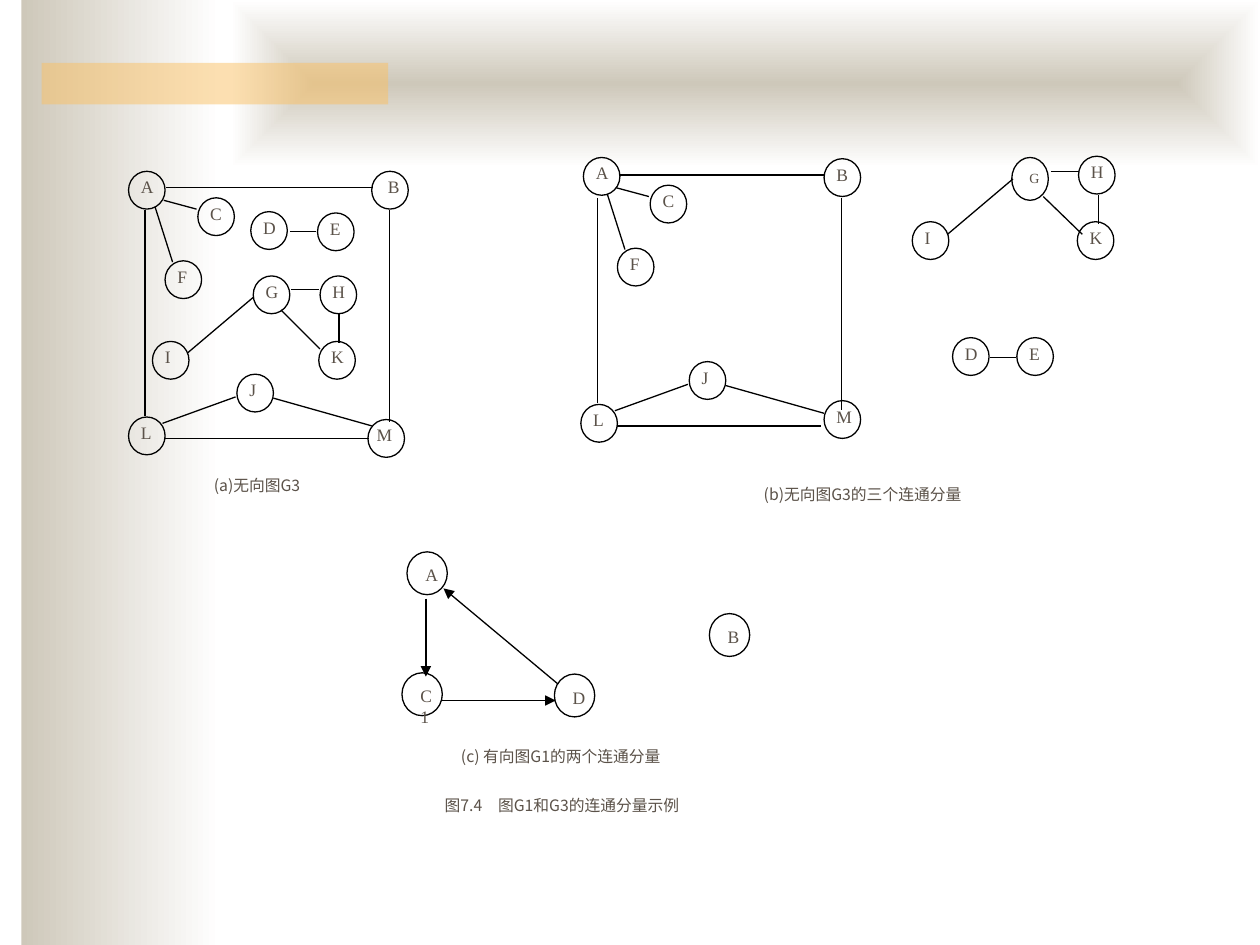
import pptx
import pptx.dml.color
import pptx.enum.shapes
import pptx.enum.text
import pptx.oxml.ns
import pptx.util
from lxml import etree
from pptx.util import Inches

RGBColor = pptx.dml.color.RGBColor
SHAPES = pptx.enum.shapes.MSO_SHAPE
ALIGN = pptx.enum.text.PP_ALIGN
qn = pptx.oxml.ns.qn

SAND = RGBColor(0xCE, 0xC8, 0xBA)
WHITE = RGBColor(0xFF, 0xFF, 0xFF)
AMBER = RGBColor(0xFA, 0xC1, 0x64)
BLACK = RGBColor(0x00, 0x00, 0x00)
BROWN = RGBColor(0x5B, 0x52, 0x49)
LETTER_FONT = "Times New Roman"
CAPTION_FONT = "Noto Sans CJK SC"

NODE_WIDTH, NODE_HEIGHT = 0.29, 0.3
LARGE_WIDTH, LARGE_HEIGHT = 0.32, 0.34

FRAME_EDGES = [
    (1.15, 1.67, 1.15, 3.3), (1.31, 3.48, 2.93, 3.48),
    (3.09, 1.67, 3.09, 3.35), (1.32, 1.49, 2.96, 1.49),
    (1.23, 1.64, 1.37, 2.08), (1.3, 1.59, 1.56, 1.66),
    (1.29, 3.36, 1.87, 3.15), (2.17, 3.16, 2.95, 3.38),
]
TRIANGLE_EDGES = [
    (2.31, 2.3, 2.53, 2.3), (2.69, 2.49, 2.69, 2.72), (2.01, 2.36, 1.49, 2.8),
]


def shifted(edges, dx, dy):
    return [(x1 + dx, y1 + dy, x2 + dx, y2 + dy) for x1, y1, x2, y2 in edges]


UNDIRECTED_GRAPHS = [
    {
        "caption": ("(a)无向图G3", 1.42, 3.73, 1.24, 0.26, None),
        "nodes": [
            ("A", 1.02, 1.36), ("B", 2.95, 1.36), ("L", 1.02, 3.31),
            ("C", 1.57, 1.57), ("J", 1.88, 2.97), ("F", 1.31, 2.07),
            ("M", 2.92, 3.33), ("D", 1.99, 1.68), ("E", 2.52, 1.69),
            ("I", 1.21, 2.71), ("G", 2.01, 2.19), ("H", 2.54, 2.19),
            ("K", 2.53, 2.71),
        ],
        "label_shift": {"B": 0.03, "M": -0.03},
        "edges": FRAME_EDGES + TRIANGLE_EDGES
        + [(2.3, 1.84, 2.51, 1.84), (2.23, 2.46, 2.54, 2.77)],
    },
    {
        "caption": ("(b)无向图G3的三个连通分量", 5.9, 3.8, 1.89, 0.3, WHITE),
        "nodes": [
            ("B", 6.54, 1.26), ("L", 4.61, 3.21), ("C", 5.16, 1.47),
            ("J", 5.47, 2.87), ("F", 4.9, 1.97), ("M", 6.54, 3.18),
            ("I", 7.24, 1.76), ("H", 8.56, 1.24), ("K", 8.55, 1.76),
            ("D", 7.56, 2.68), ("E", 8.07, 2.68), ("A", 4.63, 1.25),
        ],
        "label_shift": {},
        "edges": shifted(FRAME_EDGES, 3.59, -0.1)
        + shifted(TRIANGLE_EDGES, 6.03, -0.94)
        + [(7.86, 2.84, 8.06, 2.84), (8.28, 1.56, 8.59, 1.86)],
    },
]
DIRECTED_NODES = [("B", 5.63, 4.87), ("A", 3.23, 4.38), ("C1", 3.19, 5.34), ("D", 4.4, 5.35)]
DIRECTED_EDGES = [(3.38, 4.75, 3.38, 5.37), (3.51, 5.56, 4.41, 5.56), (4.43, 5.43, 3.52, 4.67)]
DIRECTED_CAPTIONS = [
    ("图7.4　图G1和G3的连通分量示例", 3.23, 6.27, 2.46, 0.27, None),
    ("(c) 有向图G1的两个连通分量", 3.23, 5.88, 2.44, 0.34, None),
]


def add_shape(shapes, kind, x, y, width, height, fill=None, outlined=False):
    shape = shapes.add_shape(kind, Inches(x), Inches(y), Inches(width), Inches(height))
    shape.shadow.inherit = False
    if fill is None:
        shape.fill.background()
    else:
        shape.fill.solid()
        shape.fill.fore_color.rgb = fill
    if outlined:
        shape.line.color.rgb = BLACK
        shape.line.width = pptx.util.Pt(0.75)
    else:
        shape.line.fill.background()
    return shape


def write(shape, text, size, font, align):
    frame = shape.text_frame
    frame.word_wrap = True
    frame.vertical_anchor = pptx.enum.text.MSO_ANCHOR.TOP
    para = frame.paragraphs[0]
    para.alignment = align
    span = para.add_run()
    span.text = text
    span.font.size = pptx.util.Pt(size)
    span.font.name = font
    span.font.color.rgb = BROWN
    etree.SubElement(span.font._element, qn("a:ea"), typeface=font)


def add_text(shapes, x, y, width, height, text, size, font, align):
    box = shapes.add_textbox(Inches(x), Inches(y), Inches(width), Inches(height))
    write(box, text, size, font, align)


def add_caption(shapes, text, x, y, width, height, fill):
    if fill is not None:
        add_shape(shapes, SHAPES.RECTANGLE, x, y, width, height, fill)
    add_text(shapes, x, y, width, height, text, 9, CAPTION_FONT, ALIGN.CENTER)


def add_edge(shapes, x1, y1, x2, y2, arrow=False):
    edge = shapes.add_connector(
        pptx.enum.shapes.MSO_CONNECTOR.STRAIGHT, Inches(x1), Inches(y1), Inches(x2), Inches(y2))
    edge.line.color.rgb = BLACK
    edge.line.width = pptx.util.Pt(0.75)
    properties = edge._element.spPr
    if arrow:
        etree.SubElement(properties.find(qn("a:ln")), qn("a:tailEnd"), type="triangle")
    etree.SubElement(properties, qn("a:effectLst"))


def add_large_node(shapes, letter, x, y, width, fill, size):
    node = add_shape(shapes, SHAPES.OVAL, x, y, width, LARGE_HEIGHT, fill, True)
    write(node, letter, size, LETTER_FONT, ALIGN.JUSTIFY)


def add_gradient_band(shapes, x, y, width, height):
    band = add_shape(shapes, SHAPES.RECTANGLE, x, y, width, height)
    band.fill.gradient()
    band.fill.gradient_angle = 0
    for stop, color in zip(band.fill.gradient_stops, (SAND, WHITE)):
        stop.color.rgb = color
    return band._element.spPr.find(qn("a:gradFill"))


def add_background(shapes):
    add_gradient_band(shapes, 0.17, 0, 1.58, 7.5)
    gradient = add_gradient_band(shapes, 1.83, 0, 8.17, 1.33)
    gradient.remove(gradient.find(qn("a:lin")))
    focus = etree.SubElement(gradient, qn("a:path"), {"path": "rect"})
    etree.SubElement(focus, qn("a:fillToRect"), dict.fromkeys("ltrb", "50000"))
    accent = add_shape(shapes, SHAPES.RECTANGLE, 0.33, 0.5, 2.75, 0.33, AMBER)
    color = accent._element.spPr.find(qn("a:solidFill"))[0]
    etree.SubElement(color, qn("a:alpha"), val="50000")


def add_undirected_graph(shapes, graph):
    add_caption(shapes, *graph["caption"])
    for letter, x, y in graph["nodes"]:
        add_shape(shapes, SHAPES.OVAL, x, y, NODE_WIDTH, NODE_HEIGHT, outlined=True)
        label_x = x + graph["label_shift"].get(letter, 0)
        label_width = 0.4 if letter == "M" else NODE_WIDTH
        add_text(shapes, label_x, y - 0.01, label_width, NODE_HEIGHT,
                 letter, 10, LETTER_FONT, ALIGN.JUSTIFY)
    for edge in graph["edges"]:
        add_edge(shapes, *edge)


def main():
    deck = pptx.Presentation()
    deck.slide_width, deck.slide_height = Inches(10), Inches(7.5)
    page = deck.slides.add_slide(deck.slide_layouts[6])
    add_background(page.shapes)

    groups = [page.shapes.add_group_shape().shapes for _ in range(3)]
    for shapes, graph in zip(groups, UNDIRECTED_GRAPHS):
        add_undirected_graph(shapes, graph)
    add_large_node(groups[1], "G", 8.03, 1.25, NODE_WIDTH, None, 8)

    for letter, x, y in DIRECTED_NODES:
        add_large_node(groups[2], letter, x, y, LARGE_WIDTH, WHITE, 10)
    for edge in DIRECTED_EDGES:
        add_edge(groups[2], *edge, arrow=True)
    for caption in DIRECTED_CAPTIONS:
        add_caption(groups[2], *caption)
    deck.save("out.pptx")


if __name__ == "__main__":
    main()
